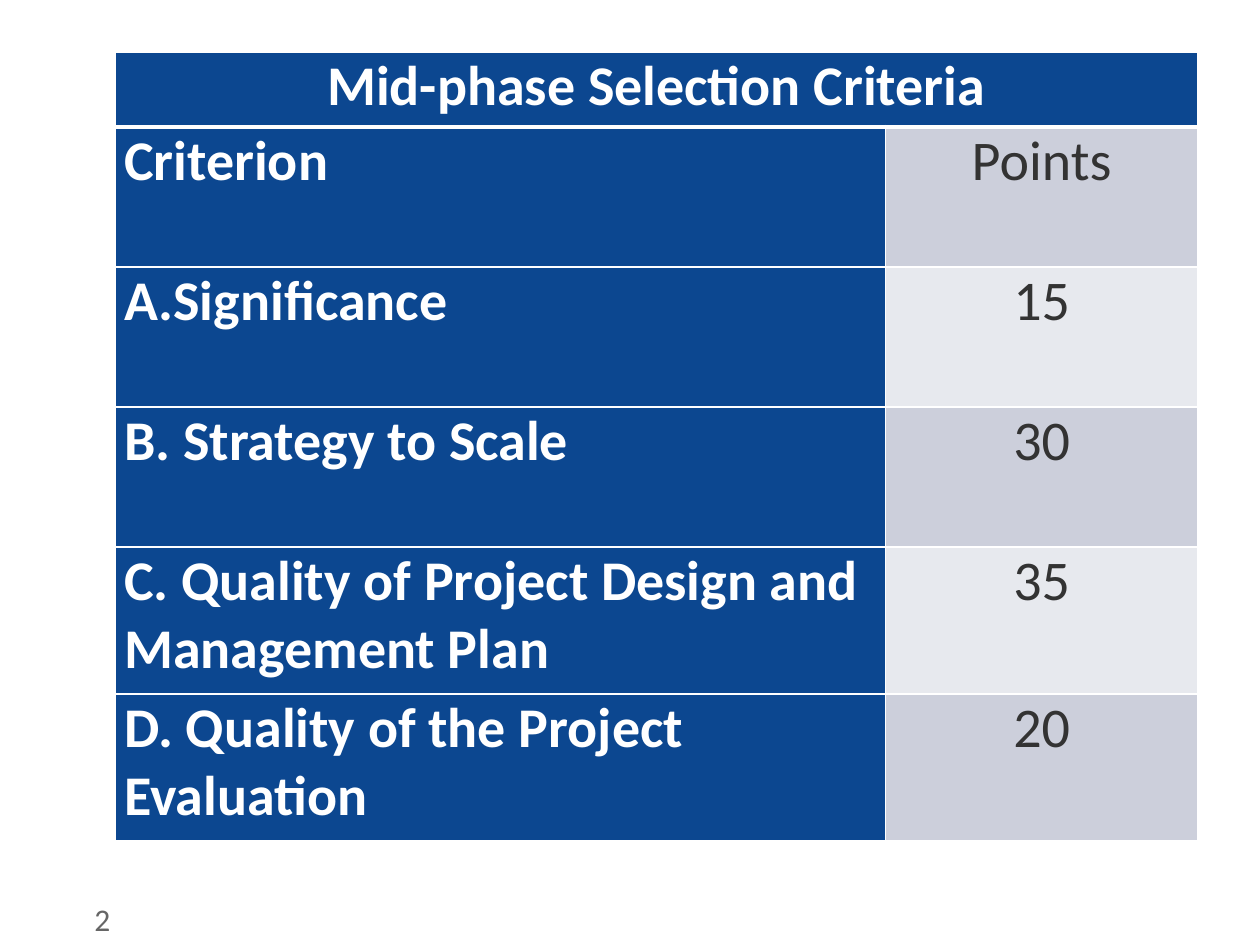
from dataclasses import dataclass

from lxml import etree
from pptx import Presentation
from pptx.dml import color
from pptx.enum import text
from pptx.oxml import ns
from pptx.util import Pt


@dataclass(frozen=True)
class Theme:
    font: str = "Calibri"
    table_size: float = 32
    number_size: float = 18
    blue: str = "0C4790"
    white: str = "FFFFFF"
    ink: str = "333333"
    gray: str = "666666"
    bands: tuple = ("CCCFDB", "E7E9EE")


THEME = Theme()
TITLE = "Mid-phase Selection Criteria"
CRITERIA = [
    ("Criterion", "Points"),
    ("Significance", "15"),
    ("B. Strategy to Scale", "30"),
    ("C. Quality of Project Design and Management Plan", "35"),
    ("D. Quality of the Project Evaluation", "20"),
]
COLUMN_WIDTHS = (440, 178.5)
ROW_HEIGHTS = (42.5, 80, 80, 80, 84, 84)


def rgb(value):
    return color.RGBColor.from_string(value)


def format_para(para, size, ink, bold=False, align=text.PP_ALIGN.LEFT):
    para.alignment = align
    for span in para.runs:
        span.font.name = THEME.font
        span.font.size = Pt(size)
        span.font.bold = bold
        span.font.color.rgb = rgb(ink)


def set_borders(cell, bottom):
    properties = cell._tc.get_or_add_tcPr()
    for side, width in (("L", 1), ("R", 1), ("T", 1), ("B", bottom)):
        line = etree.SubElement(properties, ns.qn(f"a:ln{side}"), w=str(Pt(width)))
        fill = etree.SubElement(line, ns.qn("a:solidFill"))
        etree.SubElement(fill, ns.qn("a:srgbClr"), val=THEME.white)


def fill_cell(cell, words, fill, ink, bold, align, bottom=1):
    cell.margin_left = cell.margin_right = Pt(5)
    cell.margin_top = cell.margin_bottom = 0
    set_borders(cell, bottom)
    cell.fill.solid()
    cell.fill.fore_color.rgb = rgb(fill)
    cell.text_frame.text = words
    format_para(cell.text_frame.paragraphs[0], THEME.table_size, ink, bold, align)


def number_with_letter(para):
    properties = para._p.get_or_add_pPr()
    properties.set("marL", str(Pt(27)))
    properties.set("indent", str(Pt(-27)))
    etree.SubElement(properties, ns.qn("a:buFont"), typeface=THEME.font)
    etree.SubElement(properties, ns.qn("a:buAutoNum"), type="alphaUcPeriod")


def add_criteria_table(page, left, top):
    table = page.shapes.add_table(
        len(ROW_HEIGHTS), len(COLUMN_WIDTHS), Pt(left), Pt(top),
        Pt(sum(COLUMN_WIDTHS)), Pt(sum(ROW_HEIGHTS)),
    ).table
    for column, width in zip(table.columns, COLUMN_WIDTHS):
        column.width = Pt(width)
    for row, height in zip(table.rows, ROW_HEIGHTS):
        row.height = Pt(height)

    center = text.PP_ALIGN.CENTER
    heading = table.cell(0, 0)
    heading.merge(table.cell(0, 1))
    fill_cell(heading, TITLE, THEME.blue, THEME.white, True, center, bottom=3)
    set_borders(table.cell(0, 1), 3)

    for index, (criterion, points) in enumerate(CRITERIA):
        name_cell, points_cell = table.rows[index + 1].cells
        fill_cell(name_cell, criterion, THEME.blue, THEME.white, True, text.PP_ALIGN.LEFT)
        fill_cell(points_cell, points, THEME.bands[index % 2], THEME.ink, False, center)
    number_with_letter(table.cell(2, 0).text_frame.paragraphs[0])


def add_page_number(page, number, left, top, width, height):
    box = page.shapes.add_textbox(Pt(left), Pt(top), Pt(width), Pt(height))
    frame = box.text_frame
    frame.word_wrap = True
    frame.margin_left = frame.margin_right = 0
    frame.text = str(number)
    format_para(frame.paragraphs[0], THEME.number_size, THEME.gray)


def build_deck():
    deck = Presentation()
    deck.slide_width, deck.slide_height = Pt(720), Pt(540)
    page = deck.slides.add_slide(deck.slide_layouts[6])
    add_page_number(page, 2, 54, 511, 42, 29)
    add_criteria_table(page, 66, 30)
    return deck


build_deck().save("out.pptx")
